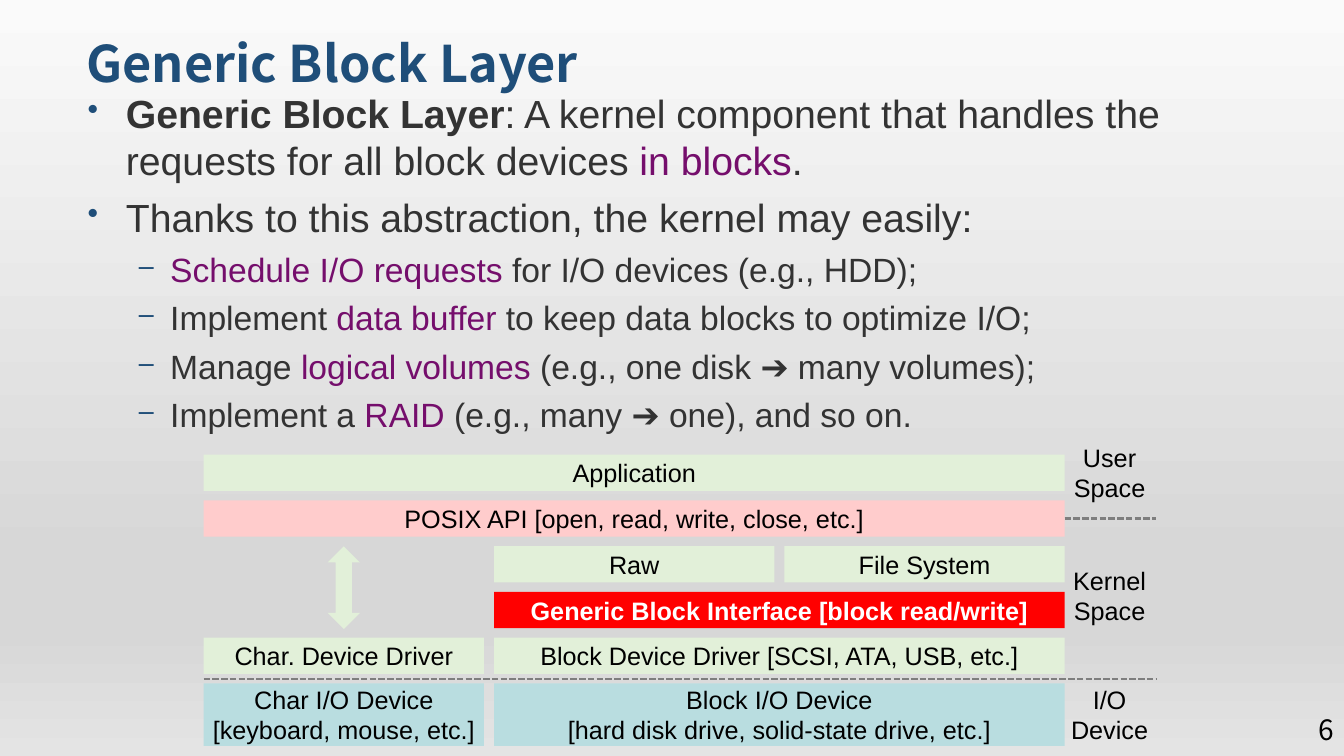
import pptx
import pptx.util
import pptx.oxml
import pptx.oxml.ns
import pptx.dml.color
import pptx.enum.dml
import pptx.enum.shapes
import pptx.enum.text
from pptx.util import Inches

THEME = {
    "title_font": "Noto Sans CJK TC", "body_font": "Arial",
    "title_size": 36, "number_size": 20, "diagram_size": 18, "level_sizes": (28, 24),
    "navy": "1F4E79", "text": "333333", "accent": "750E6C",
    "black": "000000", "white": "FFFFFF", "divider": "7E7E7E",
    "green": "E2F0D9", "pink": "FFCCCC", "red": "FF0000", "teal": "B9DDE0",
    "backdrop": ((0, "FAFAFA"), (74, "D7D7D7"), (83, "D7D7D7"), (100, "E4E4E4")),
}

TITLE = "Generic Block Layer"
PAGE_NUMBER = "6"
# Each point: level, space before in points, spans of (text, style)
POINTS = [
    (0, 0.9, [("Generic Block Layer", "bold"),
              (": A kernel component that handles the requests for all block devices ", ""),
              ("in blocks", "accent"), (".", "")]),
    (0, 6.8, [("Thanks to this abstraction, the kernel may easily:", "")]),
    (1, 6, [("Schedule I/O requests ", "accent"), ("for I/O devices (e.g., HDD);", "")]),
    (1, 5.8, [("Implement ", ""), ("data buffer ", "accent"),
              ("to keep data blocks to optimize I/O;", "")]),
    (1, 5.7, [("Manage ", ""), ("logical volumes ", "accent"),
              ("(e.g., one disk ➔ many volumes);", "")]),
    (1, 5.7, [("Implement a ", ""), ("RAID ", "accent"),
              ("(e.g., many ➔ one), and so on.", "")]),
]
LEVELS = [("•", 0.39, -0.38), ("–", 0.83, -0.31)]  # bullet, margin, first-line indent

# Each layer: row, first column, columns spanned, fill, lines
LAYERS = [
    (0, 0, 3, "green", ["Application"]),
    (1, 0, 3, "pink", ["POSIX API [open, read, write, close, etc.]"]),
    (2, 1, 1, "green", ["Raw"]),
    (2, 2, 1, "green", ["File System"]),
    (3, 1, 2, "red", ["Generic Block Interface [block read/write]"]),
    (4, 0, 1, "green", ["Char. Device Driver"]),
    (4, 1, 2, "green", ["Block Device Driver [SCSI, ATA, USB, etc.]"]),
    (5, 0, 1, "teal", ["Char I/O Device", "[keyboard, mouse, etc.]"]),
    (5, 1, 2, "teal", ["Block I/O Device", "[hard disk drive, solid-state drive, etc.]"]),
]
SPACES = [(4.37, ["User", "Space"]), (5.59, ["Kernel", "Space"]), (6.77, ["I/O", "Device"])]

LEFT, COLUMN, GAP = 2.02, 2.78, 0.1
FIRST_ROW, LAST_ROW, ROWS = 4.51, 6.78, 6
ROW_HEIGHT, LAST_HEIGHT = 0.36, 0.62
ROW_PITCH = (LAST_ROW - FIRST_ROW) / (ROWS - 1)
DIVIDER_END, DIVIDER_TOP = 11.47, 6.74
POSIX_ROW = 1

ALIGN = pptx.enum.text.PP_ALIGN
ANCHOR = pptx.enum.text.MSO_ANCHOR
SHAPE = pptx.enum.shapes.MSO_SHAPE


def color(name):
    return pptx.dml.color.RGBColor.from_string(THEME[name])


def style(font, face, size, tint, bold=False):
    font.name = THEME[face]
    font.size = pptx.util.Pt(size)
    font.color.rgb = color(tint)
    font.bold = bold


def append_xml(parent, xml):
    namespace = pptx.oxml.ns.nsdecls("a")
    parent.append(pptx.oxml.parse_xml(xml.replace(">", f" {namespace}>", 1)
                                      if not xml.endswith("/>") or xml.count("<") > 1
                                      else xml.replace("/>", f" {namespace}/>")))


def paint_backdrop(page):
    fill = page.background.fill
    fill.gradient()
    fill.gradient_angle = 270
    stop_list = page.background._cSld.find(".//" + pptx.oxml.ns.qn("a:gsLst"))
    for stop in list(stop_list):
        stop_list.remove(stop)
    for percent, tint in THEME["backdrop"]:
        append_xml(stop_list, f'<a:gs pos="{percent * 1000}"><a:srgbClr val="{tint}"/></a:gs>')


def add_text_box(page, left, top, width, height, anchor=ANCHOR.TOP):
    frame = page.shapes.add_textbox(*map(Inches, (left, top, width, height))).text_frame
    frame.word_wrap = True
    frame.vertical_anchor = anchor
    return frame


def write_lines(frame, lines, face, size, tint, align, bold=False):
    for index, line in enumerate(lines):
        para = frame.add_paragraph() if index else frame.paragraphs[0]
        para.text = line
        para.alignment = align
        style(para.font, face, size, tint, bold)


def clear_margins(frame):
    frame.margin_left = frame.margin_right = frame.margin_top = frame.margin_bottom = 0


def add_points(page):
    frame = add_text_box(page, 0.76, 0.84, 12.05, 6.33)
    for index, (level, space, spans) in enumerate(POINTS):
        para = frame.add_paragraph() if index else frame.paragraphs[0]
        bullet, margin, indent = LEVELS[level]
        para.level = level
        para.space_before = pptx.util.Pt(space)
        properties = para._p.get_or_add_pPr()
        properties.set("marL", str(Inches(margin)))
        properties.set("indent", str(Inches(indent)))
        append_xml(properties, f'<a:buClr><a:srgbClr val="{THEME["navy"]}"/></a:buClr>')
        append_xml(properties, '<a:buSzPct val="80000"/>')
        append_xml(properties, f'<a:buChar char="{bullet}"/>')
        style(para.font, "body_font", THEME["level_sizes"][level], "text")
        for text, emphasis in spans:
            span = para.add_run()
            span.text = text
            if emphasis == "bold":
                span.font.bold = True
            elif emphasis == "accent":
                span.font.color.rgb = color("accent")


def add_plain_shape(page, kind, left, top, width, height, fill):
    box = page.shapes.add_shape(kind, *map(Inches, (left, top, width, height)))
    box.shadow.inherit = False
    box.fill.solid()
    box.fill.fore_color.rgb = color(fill)
    box.line.fill.background()
    return box


def add_layer(page, row, column, span, fill, lines):
    box = add_plain_shape(page, SHAPE.RECTANGLE,
                          LEFT + column * (COLUMN + GAP), FIRST_ROW + row * ROW_PITCH,
                          span * COLUMN + (span - 1) * GAP,
                          LAST_HEIGHT if row == ROWS - 1 else ROW_HEIGHT, fill)
    clear_margins(box.text_frame)
    box.text_frame.vertical_anchor = ANCHOR.MIDDLE
    highlighted = fill == "red"
    write_lines(box.text_frame, lines, "body_font", THEME["diagram_size"],
                "white" if highlighted else "black", ALIGN.CENTER, highlighted)
    return box


def add_divider(page, left, top):
    line = page.shapes.add_connector(pptx.enum.shapes.MSO_CONNECTOR.STRAIGHT,
                                     Inches(left), top, Inches(DIVIDER_END), top)
    line.line.color.rgb = color("divider")
    line.line.width = pptx.util.Pt(1.56)
    line.line.dash_style = pptx.enum.dml.MSO_LINE.SQUARE_DOT
    append_xml(line._element.spPr, "<a:effectLst/>")
    return line


def main():
    deck = pptx.Presentation()
    deck.slide_width, deck.slide_height = Inches(13.33), Inches(7.5)
    page = deck.slides.add_slide(deck.slide_layouts[6])
    paint_backdrop(page)

    title = add_text_box(page, 0.76, 0.21, 11.31, 0.77, ANCHOR.BOTTOM)
    write_lines(title, [TITLE], "title_font", THEME["title_size"], "navy", ALIGN.LEFT, True)
    title.paragraphs[0].line_spacing = 0.9
    add_points(page)
    number = add_text_box(page, 12.08, 7.14, 1.25, 0.2, ANCHOR.MIDDLE)
    write_lines(number, [PAGE_NUMBER], "title_font", THEME["number_size"], "black", ALIGN.RIGHT)

    add_divider(page, LEFT, Inches(DIVIDER_TOP))
    boxes = [add_layer(page, *layer) for layer in LAYERS]
    posix = boxes[POSIX_ROW]
    user_divider = add_divider(page, LEFT + 3 * COLUMN + 2 * GAP, posix.top + posix.height // 2)
    user_divider.begin_connect(posix, 3)
    add_plain_shape(page, SHAPE.UP_DOWN_ARROW, 3.25, 5.42, 0.32, 0.82, "green")

    for top, lines in SPACES:
        frame = add_text_box(page, 10.61, top, 0.79, 0.63, ANCHOR.MIDDLE)
        clear_margins(frame)
        write_lines(frame, lines, "body_font", THEME["diagram_size"], "black", ALIGN.CENTER)

    deck.save("out.pptx")


if __name__ == "__main__":
    main()
